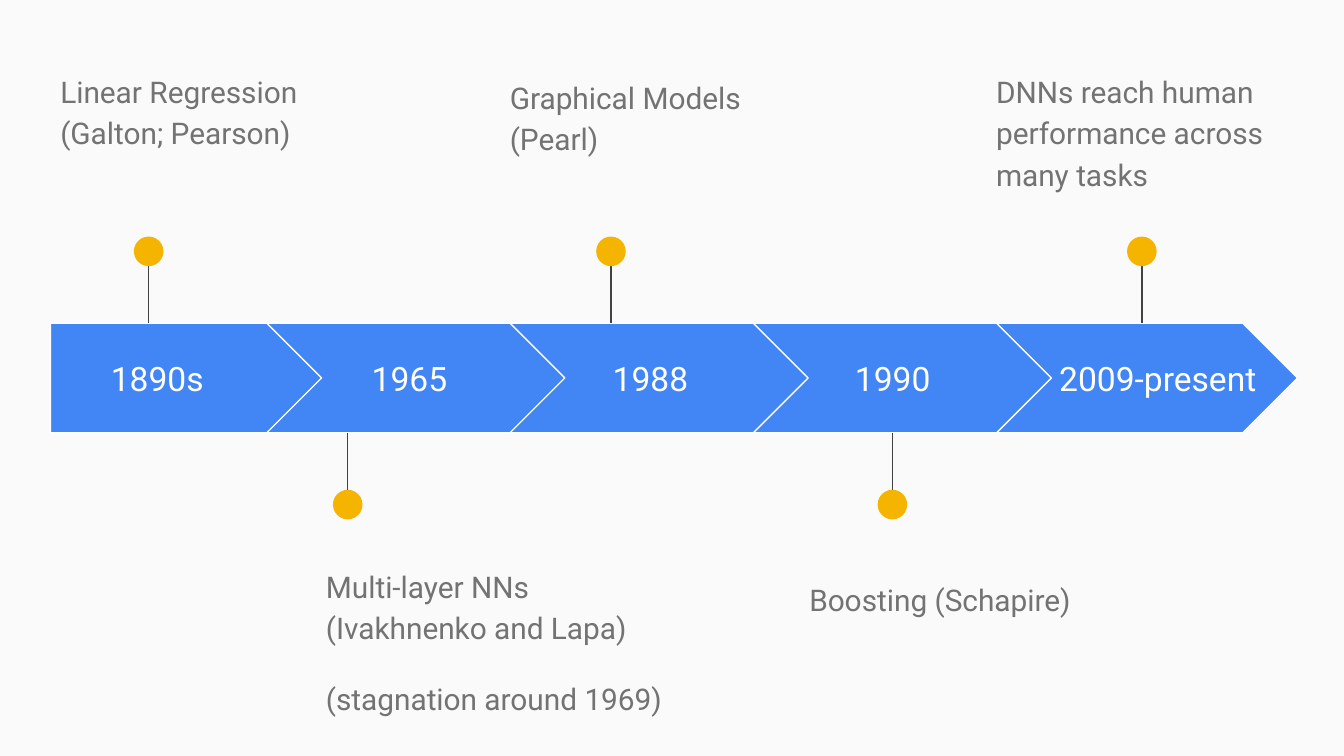
from collections import namedtuple

from lxml.etree import SubElement
from pptx import Presentation
from pptx.dml.color import RGBColor
from pptx.enum.shapes import MSO_CONNECTOR, MSO_SHAPE
from pptx.enum.text import MSO_ANCHOR, PP_ALIGN
from pptx.oxml.ns import qn
from pptx.util import Inches, Pt

BACKGROUND = RGBColor(0xFA, 0xFA, 0xFA)
BLUE = RGBColor(0x42, 0x85, 0xF4)
WHITE = RGBColor(0xFF, 0xFF, 0xFF)
AMBER = RGBColor(0xF4, 0xB4, 0x00)
STEM_GRAY = RGBColor(0x42, 0x42, 0x42)
NOTE_GRAY = RGBColor(0x73, 0x73, 0x73)

FONT = "Roboto"
WIDTH = Inches(10)
HEIGHT = WIDTH * 9 // 16

Box = namedtuple("Box", "left top width height")
# Horizontal places are percent of the slide width; note is its box in percent.
Stage = namedtuple("Stage", "year label_left label_width pin above note paragraphs")

STAGES = [
    Stage("1890s", 3.75, 15.9, 11.06, True, (3.5, 7.3, 24.5, 17.6),
          ["Linear Regression (Galton; Pearson)"]),
    Stage("1965", 23.27, 14.4, 25.87, False, (23.27, 72.7, 29.3, 24.7),
          ["Multi-layer NNs (Ivakhnenko and Lapa)", "(stagnation around 1969)"]),
    Stage("1988", 41.2, 14.4, 45.46, True, (36.95, 8.05, 24.5, 17.6),
          ["Graphical Models (Pearl)"]),
    Stage("1990", 59.23, 14.4, 66.4, False, (59.23, 74.5, 24.5, 17.6),
          ["Boosting (Schapire)"]),
    Stage("2009-present", 77.8, 16.7, 84.96, True, (73.13, 7.3, 24.5, 17.6),
          ["DNNs reach human performance across many tasks"]),
]


def col(percent):
    return round(WIDTH * percent / 100)


def row(percent):
    return round(HEIGHT * percent / 100)


def grid_box(left, top, width, height):
    return Box(col(left), row(top), col(width), row(height))


def add_text(slide, box, paragraphs, size, color):
    frame = slide.shapes.add_textbox(*box).text_frame
    frame.word_wrap = True
    frame.margin_left = frame.margin_right = Inches(0.1)
    frame.margin_top = frame.margin_bottom = Inches(0.1)
    frame.text = "\n".join(paragraphs)
    for paragraph in frame.paragraphs:
        paragraph.font.name = FONT
        paragraph.font.size = Pt(size)
        paragraph.font.color.rgb = color
    return frame


def add_arrow(slide, box, preset):
    arrow = slide.shapes.add_shape(preset, *box)
    arrow.shadow.inherit = False
    arrow.adjustments[0] = 0.5
    arrow.fill.solid()
    arrow.fill.fore_color.rgb = BLUE
    arrow.line.color.rgb = WHITE
    arrow.line.width = Pt(0.75)


def add_year(slide, band, stage):
    """Centre the year on the band, in the stage's own label width."""
    height = round(band.height * 0.62)
    box = Box(col(stage.label_left), band.top + (band.height - height) // 2,
              col(stage.label_width), height)
    frame = add_text(slide, box, [stage.year], 18, WHITE)
    frame.vertical_anchor = MSO_ANCHOR.MIDDLE
    frame.paragraphs[0].alignment = PP_ALIGN.CENTER


def add_pin(slide, band, x, above):
    """Group a stem that leaves the band's edge with the dot that ends it."""
    dot_size = col(2.2)
    reach = round(band.height * 0.79)
    edge, direction = (band.top, -1) if above else (band.top + band.height, 1)
    tip = edge + direction * reach
    pin = slide.shapes.add_group_shape().shapes

    stem = pin.add_connector(MSO_CONNECTOR.STRAIGHT, x,
                             tip - direction * dot_size // 5, x, edge)
    stem.line.color.rgb = STEM_GRAY
    stem.line.width = Pt(0.75)
    SubElement(stem._element.spPr, qn("a:effectLst"))

    dot_top = tip if above else tip - dot_size
    dot = pin.add_shape(MSO_SHAPE.OVAL, x - dot_size // 2, dot_top, dot_size, dot_size)
    dot.shadow.inherit = False
    dot.fill.solid()
    dot.fill.fore_color.rgb = AMBER
    dot.line.fill.background()


def add_note(slide, box, paragraphs):
    frame = add_text(slide, box, paragraphs, 16, NOTE_GRAY)
    for paragraph in frame.paragraphs:
        paragraph.line_spacing = 1.15
    for paragraph in frame.paragraphs[1:]:
        paragraph.space_before = Pt(16)
    frame.paragraphs[-1].space_after = Pt(16)


def add_timeline(slide, band):
    """Chevrons share one step; the first arrow starts flat at the band's left."""
    step, chevron_width = col(18.1), col(22.4)
    right = band.left + band.width
    for index, stage in enumerate(STAGES):
        end = right - step * (len(STAGES) - 1 - index)
        left = max(band.left, end - chevron_width)
        preset = MSO_SHAPE.CHEVRON if index else MSO_SHAPE.PENTAGON
        add_arrow(slide, Box(left, band.top, end - left, band.height), preset)
        add_year(slide, band, stage)
        add_pin(slide, band, col(stage.pin), stage.above)
        add_note(slide, grid_box(*stage.note), stage.paragraphs)


def main():
    presentation = Presentation()
    presentation.slide_width, presentation.slide_height = WIDTH, HEIGHT
    slide = presentation.slides.add_slide(presentation.slide_layouts[6])
    slide.background.fill.solid()
    slide.background.fill.fore_color.rgb = BACKGROUND
    add_timeline(slide, grid_box(3.75, 42.75, 92.8, 14.5))
    presentation.save("out.pptx")


if __name__ == "__main__":
    main()
